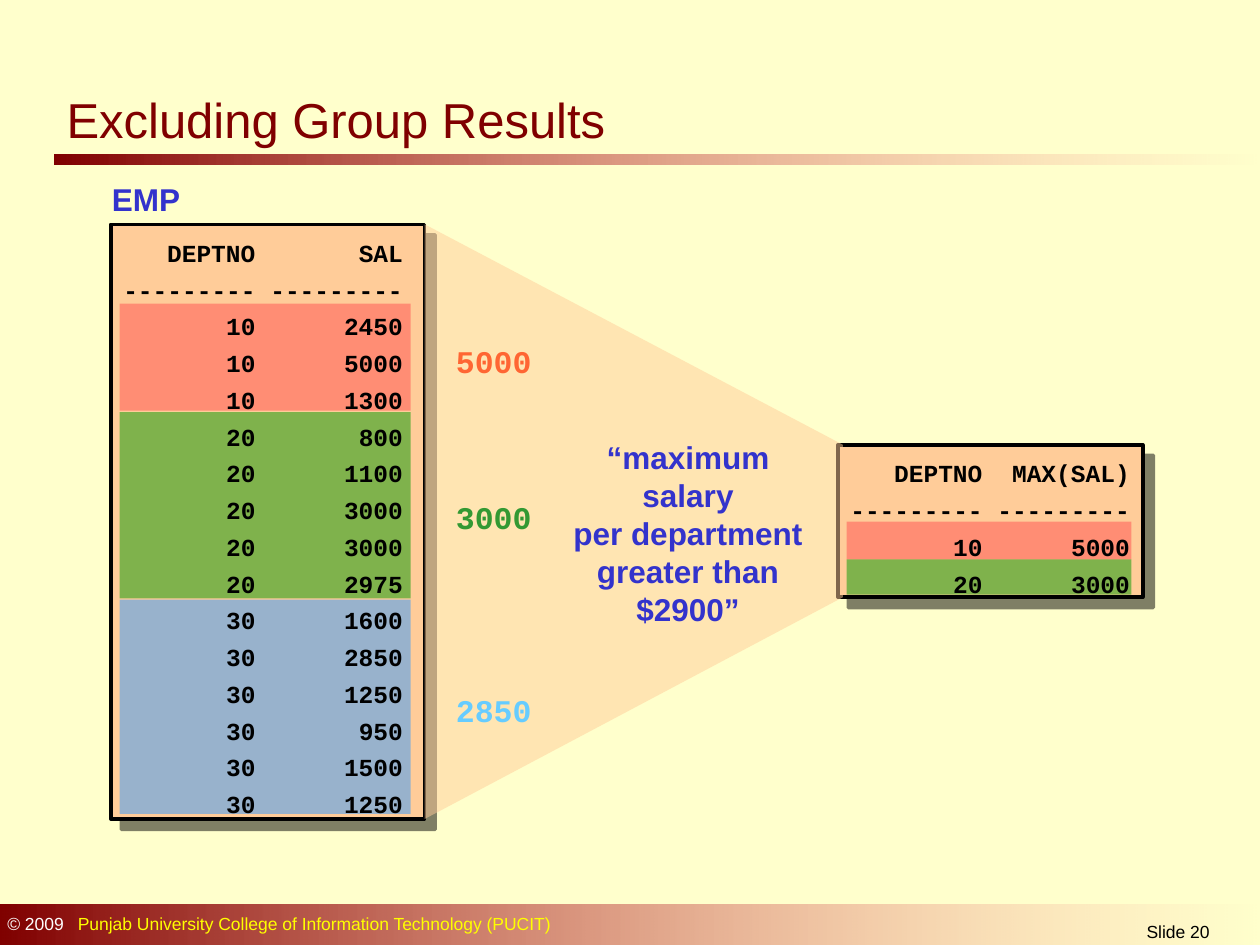
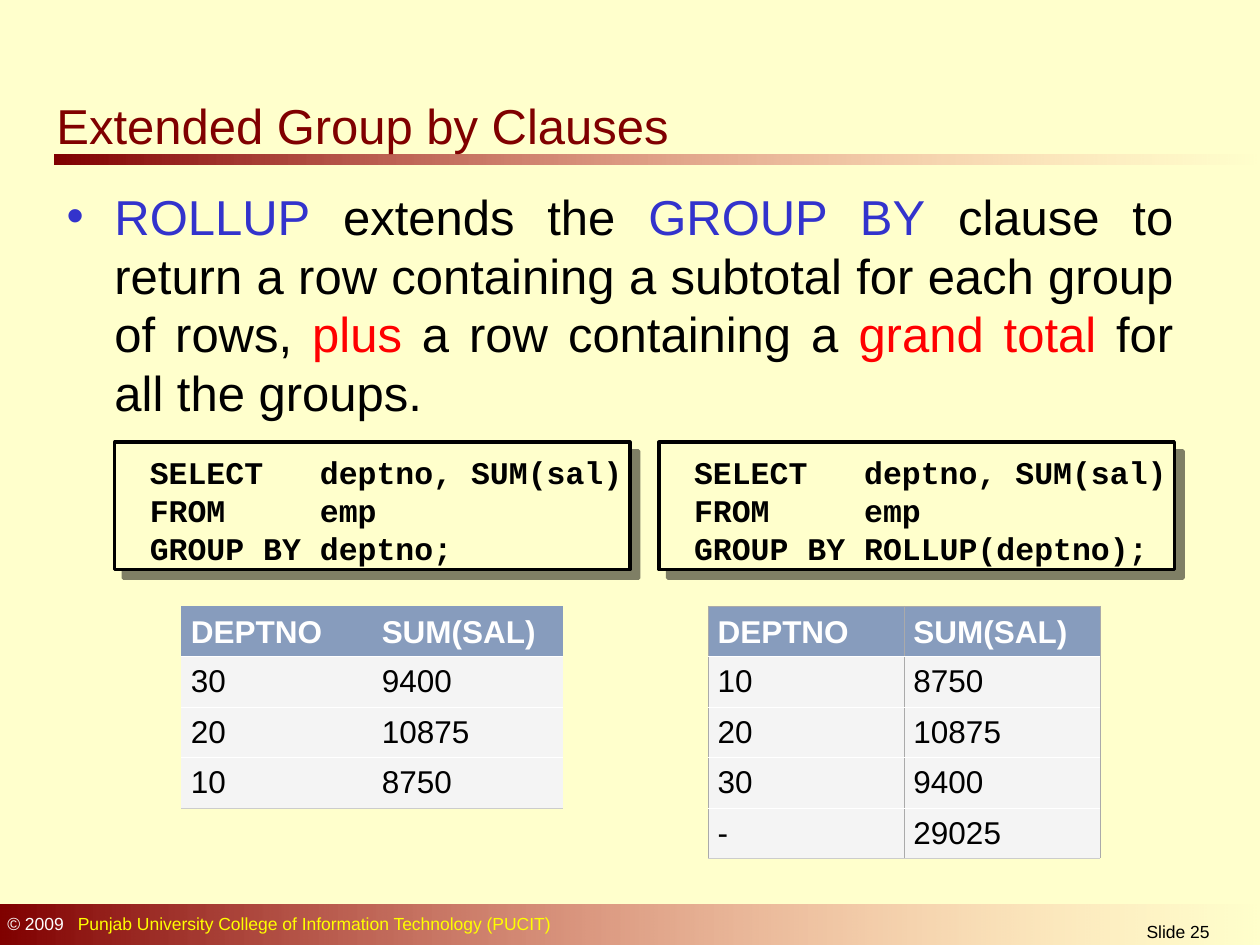
"""Two slides on SQL group results: HAVING-style exclusion and ROLLUP."""
from lxml import etree
from pptx import Presentation
from pptx import util as u
from pptx.dml.color import RGBColor
from pptx.enum import shapes, text
from pptx.oxml.ns import qn

COLS, ROWS = 100, 75
WIDTH, HEIGHT = u.Inches(10), u.Inches(7.5)
SANS, MONO = "Arial", "Courier New"
COLOURS = {
    "page": "FFFFCC", "maroon": "800000", "pink": "FF8585", "black": "000000",
    "white": "FFFFFF", "yellow": "FFFF00", "blue": "3333CC", "red": "FF0000",
    "panel": "FFCC99", "band10": "FF5050", "band20": "009900", "band30": "3399FF",
    "max10": "FF6633", "max20": "339933", "max30": "66CCFF",
    "header": "879CBD", "row": "F4F4F4", "frame": "AAAAAA", "base": "CCCCCC",
}
LEFT, CENTRE, JUSTIFY = text.PP_ALIGN.LEFT, text.PP_ALIGN.CENTER, text.PP_ALIGN.JUSTIFY
TOP, MIDDLE, BOTTOM = text.MSO_ANCHOR.TOP, text.MSO_ANCHOR.MIDDLE, text.MSO_ANCHOR.BOTTOM

EMP_ROWS = [("10", "2450"), ("10", "5000"), ("10", "1300"), ("20", "800"),
            ("20", "1100"), ("20", "3000"), ("20", "3000"), ("20", "2975"),
            ("30", "1600"), ("30", "2850"), ("30", "1250"), ("30", "950"),
            ("30", "1500"), ("30", "1250")]
MAX_ROWS = [("10", "5000"), ("20", "3000")]
SUM_ROWS = [("30", "9400"), ("20", "10875"), ("10", "8750")]
ROLLUP_ROWS = [("10", "8750"), ("20", "10875"), ("30", "9400"), ("-", "29025")]


def rgb(colour):
    """Return the named colour."""
    return RGBColor.from_string(COLOURS[colour])


def across(columns):
    """Convert grid columns to a length."""
    return u.Emu(round(WIDTH * columns / COLS))


def down(rows):
    """Convert grid rows to a length."""
    return u.Emu(round(HEIGHT * rows / ROWS))


def place(box):
    """Convert a (left, top, width, height) grid box to lengths."""
    left, top, width, height = box
    return across(left), down(top), across(width), down(height)


def inside(box, left, top, width, height):
    """Return a grid box offset from the corner of another."""
    return box[0] + left, box[1] + top, width, height


def child(parent, tag, **attributes):
    """Append an XML element."""
    return etree.SubElement(parent, qn(tag), {k: str(v) for k, v in attributes.items()})


def set_alpha(shape, percent):
    """Set the opacity of the last colour in a shape's fill."""
    colour = list(shape._element.spPr.iter(qn("a:srgbClr")))[-1]
    child(colour, "a:alpha", val=percent * 1000)


def add_rect(slide, box, fill, opacity=100):
    """Add a plain rectangle without outline."""
    rect = slide.shapes.add_shape(shapes.MSO_SHAPE.RECTANGLE, *place(box))
    rect.shadow.inherit = False
    rect.fill.solid()
    rect.fill.fore_color.rgb = rgb(fill)
    if opacity < 100:
        set_alpha(rect, opacity)
    rect.line.fill.background()
    return rect


def add_fading_bar(slide, box):
    """Add a bar that fades out to the right."""
    bar = add_rect(slide, box, "maroon")
    bar.fill.gradient()
    bar.fill.gradient_angle = 0
    for stop, colour in zip(bar.fill.gradient_stops, ("maroon", "pink")):
        stop.color.rgb = rgb(colour)
    set_alpha(bar, 0)


def add_panel(slide, box, fill, distance):
    """Add an outlined panel with a hard shadow to the lower right."""
    panel = add_rect(slide, box, fill)
    panel.line.color.rgb = rgb("black")
    panel.line.width = u.Pt(2)
    effects = panel._element.spPr.find(qn("a:effectLst"))
    shadow = child(effects, "a:outerShdw", blurRad=0, dist=u.Pt(distance),
                   dir=45 * 60000, algn="ctr", rotWithShape=0)
    child(child(shadow, "a:srgbClr", val=COLOURS["black"]), "a:alpha", val=50000)


def add_tabs(paragraph, *stops):
    """Add (columns, alignment) tab stops to a paragraph."""
    tabs = child(paragraph._p.get_or_add_pPr(), "a:tabLst")
    for columns, side in stops:
        child(tabs, "a:tab", pos=across(columns), algn=side)


def add_run(paragraph, words, size, colour, font=SANS, bold=False):
    """Add one formatted run."""
    run = paragraph.add_run()
    run.text = words
    run.font.name, run.font.size, run.font.bold = font, u.Pt(size), bold
    run.font.color.rgb = rgb(colour)


def add_text(slide, box, lines, size, colour, font=SANS, bold=False, align=LEFT,
             anchor=TOP, wrap=False, spacing=None, tabs=()):
    """Add a text box with a paragraph per line; a line is a string or (words, colour) runs."""
    frame = slide.shapes.add_textbox(*place(box)).text_frame
    frame.word_wrap, frame.vertical_anchor = wrap, anchor
    for number, line in enumerate(lines):
        paragraph = frame.add_paragraph() if number else frame.paragraphs[0]
        paragraph.alignment = align
        if spacing:
            paragraph.line_spacing = spacing
        if tabs:
            add_tabs(paragraph, *tabs)
        for words, shade in [(line, colour)] if isinstance(line, str) else line:
            add_run(paragraph, words, size, shade, font, bold)
    return frame


def add_base(deck, title, title_box, number):
    """Add a slide with its background, bars, title and footer."""
    slide = deck.slides.add_slide(deck.slide_layouts[6])
    slide.background.fill.solid()
    slide.background.fill.fore_color.rgb = rgb("page")
    add_fading_bar(slide, (4.3, 12.3, 95.7, 0.8))
    add_fading_bar(slide, (0, 71.8, 100, 3.2))
    add_text(slide, (-0.4, 72, 64.6, 2.7),
             [[("© 2009", "white"),
               ("\tPunjab University College of Information Technology (PUCIT)", "yellow")]],
             10, "white", wrap=True, tabs=[(5.6, "l")])
    add_text(slide, (83.1, 72.6, 20.8, 2.4), [f"Slide {number}"], 10, "black",
             align=CENTRE, wrap=True)
    add_text(slide, title_box, [title], 28, "maroon", anchor=BOTTOM, wrap=True)
    return slide


def add_listing(slide, box, headings, records, bands, band_width, band_top, gap):
    """Fill a panel with coloured group bands and a two-column query listing."""
    for colour, height in bands:
        add_rect(slide, inside(box, 0.7, band_top, band_width, height), colour, 50)
        band_top += height + gap
    lines = ["\t" + "\t".join(row) for row in [headings, ("-" * 9,) * 2, *records]]
    add_text(slide, inside(box, 0, 0, box[2] + 1, box[3]), lines, 14, "black", MONO,
             True, wrap=True, spacing=u.Pt(21), tabs=[(10.5, "r"), (22.2, "r")])


def add_funnel(slide, source, result):
    """Join the right side of the source panel to the left side of the result panel."""
    near, far = source[0] + source[2], result[0] + 0.4
    corners = [(near, source[1] + source[3]), (near, source[1]),
               (far, result[1]), (far, result[1] + result[3])]
    points = [(across(x), down(y)) for x, y in corners]
    builder = slide.shapes.build_freeform(*points[0])
    builder.add_line_segments(points[1:], close=True)
    funnel = builder.convert_to_shape()
    funnel.shadow.inherit = False
    funnel.fill.solid()
    funnel.fill.fore_color.rgb = rgb("panel")
    set_alpha(funnel, 50)
    funnel.line.fill.background()


def add_code(slide, box, last_line):
    """Add a framed SQL query."""
    add_panel(slide, box, "page", 7.1)
    query = [" SELECT   deptno, SUM(sal)", " FROM     emp", last_line]
    add_text(slide, inside(box, 0.3, -1.3, 42.2, 13.3), query, 18, "black", MONO, True,
             anchor=MIDDLE, spacing=u.Pt(21.6))


def set_borders(cell, **sides):
    """Set a cell's borders; a side without a colour is hidden."""
    properties = cell._tc.get_or_add_tcPr()
    for side in "LRTB":
        line = child(properties, f"a:ln{side}", w=u.Pt(0.28))
        if sides[side]:
            child(child(line, "a:solidFill"), "a:srgbClr", val=COLOURS[sides[side]])
        else:
            child(line, "a:noFill")


def add_totals(slide, corner, column_width, records, frame=None):
    """Add a table of salary sums per department."""
    rows = [("DEPTNO", "SUM(SAL)"), *records]
    heights = [4] + [3.5] * len(records)
    box = (*corner, 2 * column_width, sum(heights))
    table = slide.shapes.add_table(len(rows), 2, *place(box)).table
    table.first_row = table.horz_banding = False
    for column in table.columns:
        column.width = across(column_width)
    for r, values in enumerate(rows):
        table.rows[r].height = down(heights[r])
        heading, last = r == 0, r == len(records)
        for c, value in enumerate(values):
            cell = table.cell(r, c)
            set_borders(cell, L=frame, R=frame, T=frame if heading else "white",
                        B="base" if last else "white")
            cell.fill.solid()
            cell.fill.fore_color.rgb = rgb("header" if heading else "row")
            cell.margin_left = cell.margin_right = across(0.75)
            cell.vertical_anchor = BOTTOM if heading else MIDDLE
            add_run(cell.text_frame.paragraphs[0], value, 18,
                    "white" if heading else "black", bold=heading)


def add_bullet(slide, box, runs):
    """Add a justified bullet paragraph made of coloured runs."""
    frame = add_text(slide, box, [runs], 28, "black", align=JUSTIFY, wrap=True,
                     spacing=u.Pt(33.6))
    properties = frame.paragraphs[0]._p.get_or_add_pPr()
    properties.set("marL", str(across(3.8)))
    properties.set("indent", str(-across(3.8)))
    child(child(properties, "a:buClr"), "a:srgbClr", val=COLOURS["blue"])
    child(properties, "a:buFont", typeface=SANS)
    child(properties, "a:buChar", char="•")


def build_exclusion(deck):
    """Build the slide that filters groups by their maximum salary."""
    slide = add_base(deck, "Excluding Group Results", (4.3, 6.4, 46.8, 5.9), 20)
    emp, result = (8.8, 17.8, 24.9, 47.2), (66.5, 35.3, 24.2, 12.1)
    for panel in (result, emp):
        add_panel(slide, panel, "panel", 8.5)
    add_funnel(slide, emp, result)
    add_text(slide, inside(emp, -0.9, -4, 7.4, 4), ["EMP"], 18, "blue", bold=True)
    add_text(slide, (44.5, 34.3, 20.2, 16),
             ["“maximum", "salary", "per department", "greater than", "$2900”"],
             18, "blue", bold=True, align=CENTRE, spacing=u.Pt(21.6))
    for maximum, colour, top in (("5000", "max10", 8.1), ("3000", "max20", 20.5),
                                 ("2850", "max30", 35.8)):
        add_text(slide, inside(emp, 26.4, top, 8, 4.8), [maximum], 18, colour, MONO,
                 True, spacing=1.25)
    add_listing(slide, emp, ("DEPTNO", "SAL"), EMP_ROWS,
                [("band10", 8.5), ("band20", 14.8), ("band30", 17)], 23.1, 6.3, 0.1)
    add_listing(slide, result, ("DEPTNO", "MAX(SAL)"), MAX_ROWS,
                [("band10", 3), ("band20", 2.8)], 22.6, 6.1, 0)


def build_rollup(deck):
    """Build the slide that compares GROUP BY with ROLLUP."""
    slide = add_base(deck, "Extended Group by Clauses", (3.5, 6.8, 56.7, 5.9), 25)
    add_bullet(slide, (4.3, 14.3, 89.8, 19.9), [
        ("ROLLUP", "blue"), (" extends the ", "black"), ("GROUP BY", "blue"),
        (" clause to return a row containing a subtotal for each group of rows, ", "black"),
        ("plus", "red"), (" a row containing a ", "black"), ("grand total", "red"),
        (" for all the groups.", "black")])
    add_code(slide, (9.1, 35.1, 40.9, 10.1), " GROUP BY deptno;")
    add_code(slide, (52.3, 35.1, 40.9, 10.1), " GROUP BY ROLLUP(deptno);")
    add_totals(slide, (14.4, 48.1), 15.15, SUM_ROWS)
    add_totals(slide, (56.2, 48.1), 15.55, ROLLUP_ROWS, "frame")


def main():
    """Build and save the deck."""
    deck = Presentation()
    deck.slide_width, deck.slide_height = WIDTH, HEIGHT
    build_exclusion(deck)
    build_rollup(deck)
    deck.save("out.pptx")


if __name__ == "__main__":
    main()
